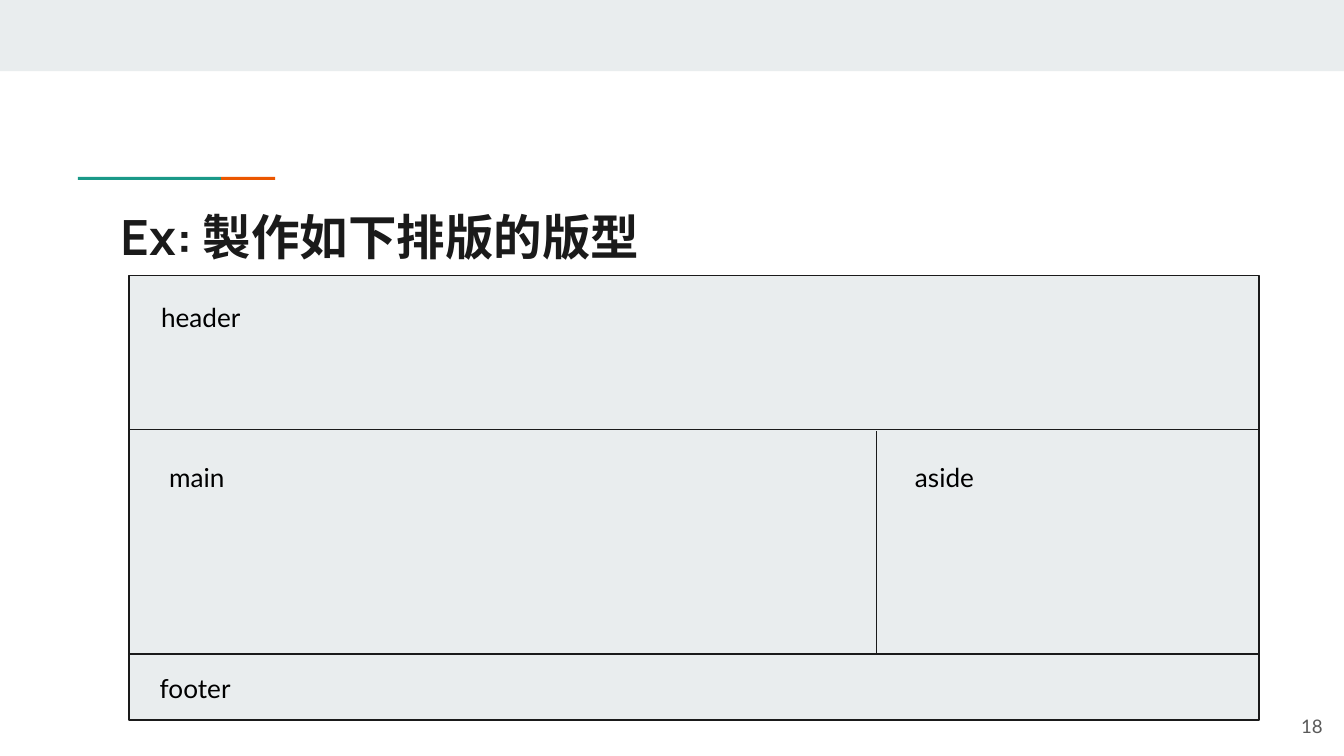
import pptx
import pptx.util
import pptx.dml.color
import pptx.enum.shapes
import pptx.enum.text
import lxml.etree

Pt = pptx.util.Pt
RGB = pptx.dml.color.RGBColor.from_string
ALIGN = pptx.enum.text.PP_ALIGN
ANCHOR = pptx.enum.text.MSO_ANCHOR
COLORS = {
    "panel": "E9EDEE",
    "ink": "1A1A1A",
    "green": "1A9988",
    "orange": "EB5600",
    "grey": "595959",
    "black": "000000",
}

prs = pptx.Presentation()
prs.slide_width, prs.slide_height = Pt(720), Pt(405)
s = prs.slides.add_slide(prs.slide_layouts[6])


def add_text(text, x, y, w, h, size=14, font="Lato", color="black",
             bold=False, align=ALIGN.LEFT, anchor=ANCHOR.TOP):
    tf = s.shapes.add_textbox(Pt(x), Pt(y), Pt(w), Pt(h)).text_frame
    tf.word_wrap = True
    tf.vertical_anchor = anchor
    tf.margin_left = tf.margin_right = tf.margin_top = tf.margin_bottom = Pt(7.2)
    p = tf.paragraphs[0]
    p.alignment = align
    r = p.add_run()
    r.text = text
    r.font.size, r.font.name, r.font.bold = Pt(size), font, bold
    r.font.color.rgb = RGB(COLORS[color])


# Top band, two-colour accent rule and page frame
for x, y, w, h, fill, line in [
    (0, 0, 720, 38.2, "panel", None),
    (118.4, 94.8, 29, 1.6, "orange", None),
    (41.8, 94.8, 76.6, 1.6, "green", None),
    (69.2, 147.5, 605.3, 238.4, "panel", "ink"),
]:
    sp = s.shapes.add_shape(pptx.enum.shapes.MSO_SHAPE.RECTANGLE,
                            Pt(x), Pt(y), Pt(w), Pt(h))
    sp.shadow.inherit = False
    sp.fill.solid()
    sp.fill.fore_color.rgb = RGB(COLORS[fill])
    if line:
        sp.line.color.rgb = RGB(COLORS[line])
        sp.line.width = Pt(0.75)
    else:
        sp.line.fill.background()

# Dividers between the layout regions
for x1, y1, x2, y2 in [
    (69.6, 230.2, 674.2, 230.2),
    (69.6, 350.4, 674.2, 350.4),
    (469.6, 231, 469.6, 350.4),
]:
    sp = s.shapes.add_connector(pptx.enum.shapes.MSO_CONNECTOR.STRAIGHT,
                                Pt(x1), Pt(y1), Pt(x2), Pt(y2))
    sp.line.color.rgb = RGB(COLORS["ink"])
    sp.line.width = Pt(0.75)
    lxml.etree.SubElement(sp.element.spPr, pptx.oxml.ns.qn("a:effectLst"))

# Title and page number
add_text("Ex: 製作如下排版的版型", 57.6, 103.7, 605.5, 42.5,
         size=26, font="Manrope", color="ink", bold=True)
add_text("18", 672.5, 373.7, 43.2, 31, size=10, color="grey",
         align=ALIGN.RIGHT, anchor=ANCHOR.MIDDLE)

# Region labels
for text, x, y in [("header", 79.2, 154.1), ("footer", 78.5, 352.8),
                   ("main", 83.5, 239.8), ("aside", 483.1, 239.8)]:
    add_text(text, x, y, 83.5, 31.7)

prs.save("out.pptx")
